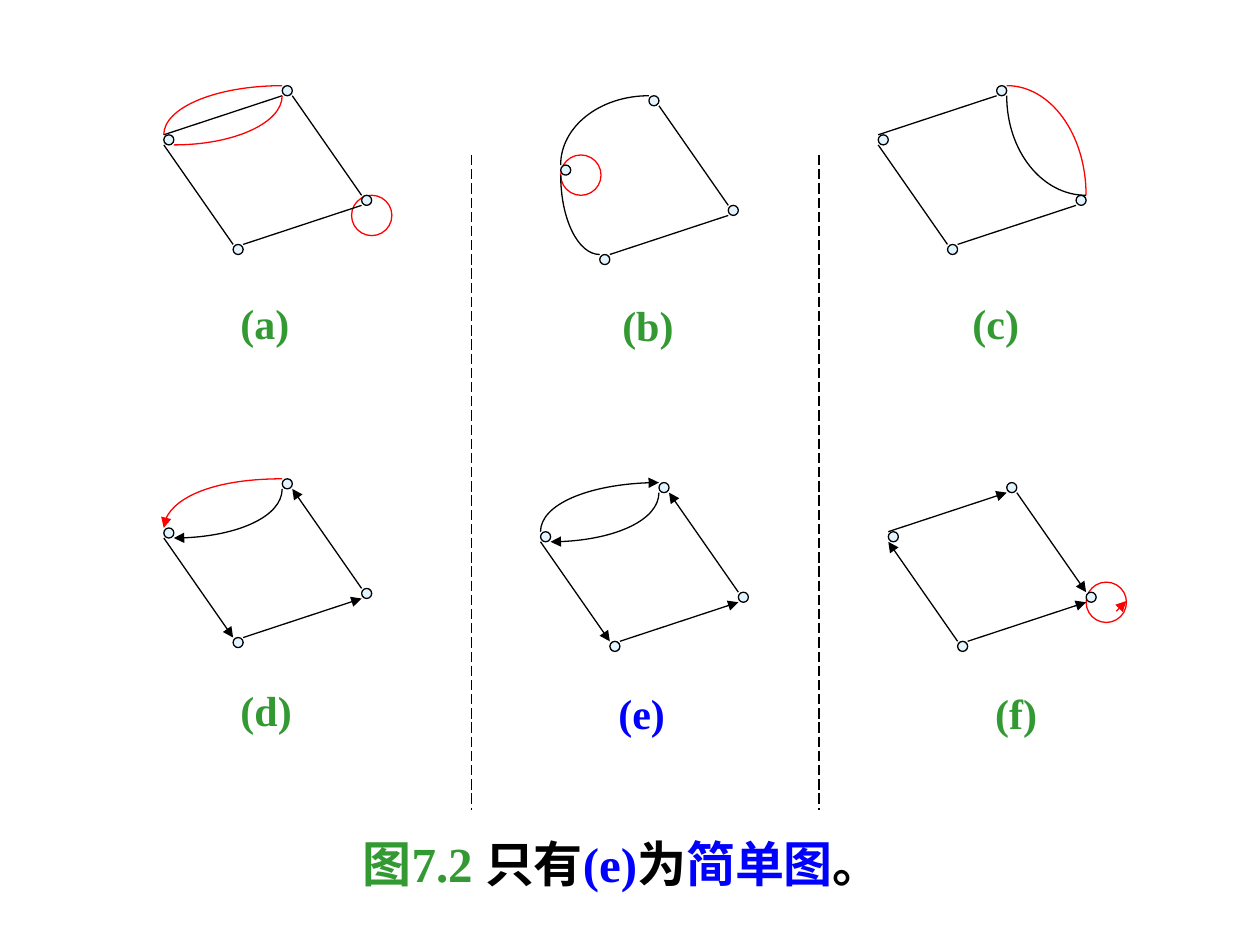
"""Build the slide comparing six small graphs, of which only (e) is simple."""
from lxml.etree import SubElement
from pptx import Presentation
from pptx.dml.color import RGBColor
from pptx.enum.dml import MSO_LINE_DASH_STYLE as Dash
from pptx.enum.shapes import MSO_CONNECTOR as Connector, MSO_SHAPE as Shape
from pptx.enum.text import MSO_AUTO_SIZE as AutoSize
from pptx.oxml.ns import qn
from pptx.util import Inches, Pt

BLACK, RED, GREEN, BLUE, PALE = "000000", "FF0000", "339933", "0000FF", "E1F4FF"
NODE, LOOP, BEND = 0.08, 0.32, 0.555
CORNERS = {"nw": (0, 0), "ne": (NODE, 0), "sw": (0, NODE), "se": (NODE, NODE)}
NODES = {"left": (0, 0), "top": (0.94, -0.39), "right": (1.57, 0.48), "bottom": (0.55, 0.87)}
SIDES = {
    "left-bottom": ("left", "sw", "bottom", "nw"),
    "bottom-right": ("bottom", "ne", "right", "sw"),
    "top-right": ("top", "se", "right", "nw"),
    "left-top": ("left", "nw", "top", "sw"),
}
ARCS = {
    "upper": ("top", "nw", "left", "nw"),
    "lower": ("left", "se", "top", "sw"),
    "bottom": ("bottom", "nw", "left", "sw"),
    "outer": ("top", "ne", "right", "ne"),
    "inner": ("right", "ne", "top", "se"),
}
DIRECTED = {"left-bottom": "tailEnd", "bottom-right": "tailEnd", "top-right": "headEnd"}
GRAPHS = [
    {"name": "(a)", "origin": (1.3, 1.07), "label": (0.51, 1.24, 0.59), "sides": dict.fromkeys(SIDES),
     "arcs": [("lower", RED, None), ("upper", RED, None)], "loop": (1.49, 0.48)},
    {"name": "(b)", "origin": (4.21, 1.15), "label": (0.63, 1.18, 0.61),
     "sides": dict.fromkeys(["bottom-right", "top-right"]), "moved": {"left": (0.24, 0.16)},
     "arcs": [("upper", BLACK, None), ("bottom", BLACK, None)], "loop": (0.24, 0.08)},
    {"name": "(c)", "origin": (6.97, 1.07), "label": (0.65, 1.24, 0.57),
     "sides": dict.fromkeys(["left-bottom", "bottom-right", "left-top"]),
     "arcs": [("outer", RED, None), ("inner", BLACK, None)]},
    {"name": "(d)", "origin": (1.3, 4.19), "label": (0.51, 1.19, 0.61), "sides": DIRECTED,
     "arcs": [("lower", BLACK, "headEnd"), ("upper", RED, "tailEnd")]},
    {"name": "(e)", "origin": (4.29, 4.22), "label": (0.52, 1.19, 0.57), "colour": BLUE, "sides": DIRECTED,
     "arcs": [("lower", BLACK, "headEnd"), ("upper", BLACK, "headEnd")]},
    {"name": "(f)", "origin": (7.05, 4.22), "label": (0.75, 1.19, 0.53),
     "sides": {"left-bottom": "headEnd", "bottom-right": "tailEnd", "top-right": "tailEnd", "left-top": "tailEnd"},
     "arcs": [], "loop": (1.57, 0.4), "loop_arrow": ((1.81, 0.63), (1.89, 0.55))},
]
DIVIDERS = [3.74, 6.5]
CAPTION = [("图7.2 ", GREEN), ("只有", BLACK), ("(e)", BLUE), ("为", BLACK), ("简单图", BLUE), ("。", BLACK)]


def rgb(colour):
    return RGBColor.from_string(colour)


def shift(point, offset):
    return point[0] + offset[0], point[1] + offset[1]


def style_line(shape, colour, arrow=None):
    shape.line.color.rgb = rgb(colour)
    shape.line.width = Pt(0.75)
    if arrow:
        SubElement(shape.element.spPr.get_or_add_ln(), qn(f"a:{arrow}"), type="triangle")


def add_line(page, start, end, colour=BLACK, arrow=None):
    line = page.shapes.add_connector(Connector.STRAIGHT, *map(Inches, (*start, *end)))
    style_line(line, colour, arrow)
    SubElement(line.element.spPr, qn("a:effectLst"))
    return line


def add_arc(page, start, end, colour, arrow):
    start, end = [tuple(map(Inches, point)) for point in (start, end)]
    arc = page.shapes.build_freeform(*start).add_line_segments([end], close=False).convert_to_shape()
    (x0, y0), (x1, y1) = [(x - arc.left, y - arc.top) for x, y in (start, end)]
    segment = next(arc.element.iter(qn("a:lnTo")))
    curve = SubElement(segment.getparent(), qn("a:cubicBezTo"))
    for x, y in [(x0 + BEND * (x1 - x0), y0), (x1, y1 + BEND * (y0 - y1)), (x1, y1)]:
        SubElement(curve, qn("a:pt"), x=str(round(x)), y=str(round(y)))
    segment.getparent().remove(segment)
    arc.fill.background()
    arc.shadow.inherit = False
    style_line(arc, colour, arrow)


def add_circle(page, corner, size, colour, fill=None):
    circle = page.shapes.add_shape(Shape.OVAL, *map(Inches, (*corner, size, size)))
    circle.shadow.inherit = False
    if fill:
        circle.fill.solid()
        circle.fill.fore_color.rgb = rgb(fill)
    else:
        circle.fill.background()
    style_line(circle, colour)


def add_text(page, area, spans, size):
    box = page.shapes.add_textbox(*map(Inches, area))
    for name, value in {"word_wrap": False, "auto_size": AutoSize.SHAPE_TO_FIT_TEXT}.items():
        setattr(box.text_frame, name, value)
    para = box.text_frame.paragraphs[0]
    for words, colour in spans:
        span = para.add_run()
        span.text = words
        for name, value in {"name": "Times New Roman", "size": Pt(size), "bold": True}.items():
            setattr(span.font, name, value)
        span.font.color.rgb = rgb(colour)


def add_graph(page, graph):
    origin = graph["origin"]
    nodes = {name: shift(origin, offset) for name, offset in (NODES | graph.get("moved", {})).items()}

    def ends(edge):
        first, first_corner, last, last_corner = edge
        return shift(nodes[first], CORNERS[first_corner]), shift(nodes[last], CORNERS[last_corner])

    if "loop" in graph:
        add_circle(page, shift(origin, graph["loop"]), LOOP, RED)
    if "loop_arrow" in graph:
        add_line(page, *[shift(origin, point) for point in graph["loop_arrow"]], RED, "tailEnd")
    for corner in nodes.values():
        add_circle(page, corner, NODE, BLACK, PALE)
    for side, arrow in graph["sides"].items():
        add_line(page, *ends(SIDES[side]), arrow=arrow)
    for arc, colour, arrow in graph["arcs"]:
        add_arc(page, *ends(ARCS[arc]), colour, arrow)
    *offset, width = graph["label"]
    add_text(page, (*shift(origin, offset), width, 0.5), [(graph["name"], graph.get("colour", GREEN))], 24)


def main():
    deck = Presentation()
    deck.slide_width, deck.slide_height = Inches(10), Inches(7.5)
    page = deck.slides.add_slide(deck.slide_layouts[6])
    for x in DIVIDERS:
        add_line(page, (x, 1.23), (x, 6.43)).line.dash_style = Dash.LONG_DASH
    for graph in GRAPHS:
        add_graph(page, graph)
    add_text(page, (2.78, 6.57, 4.69, 0.57), CAPTION, 28)
    deck.save("out.pptx")


if __name__ == "__main__":
    main()
